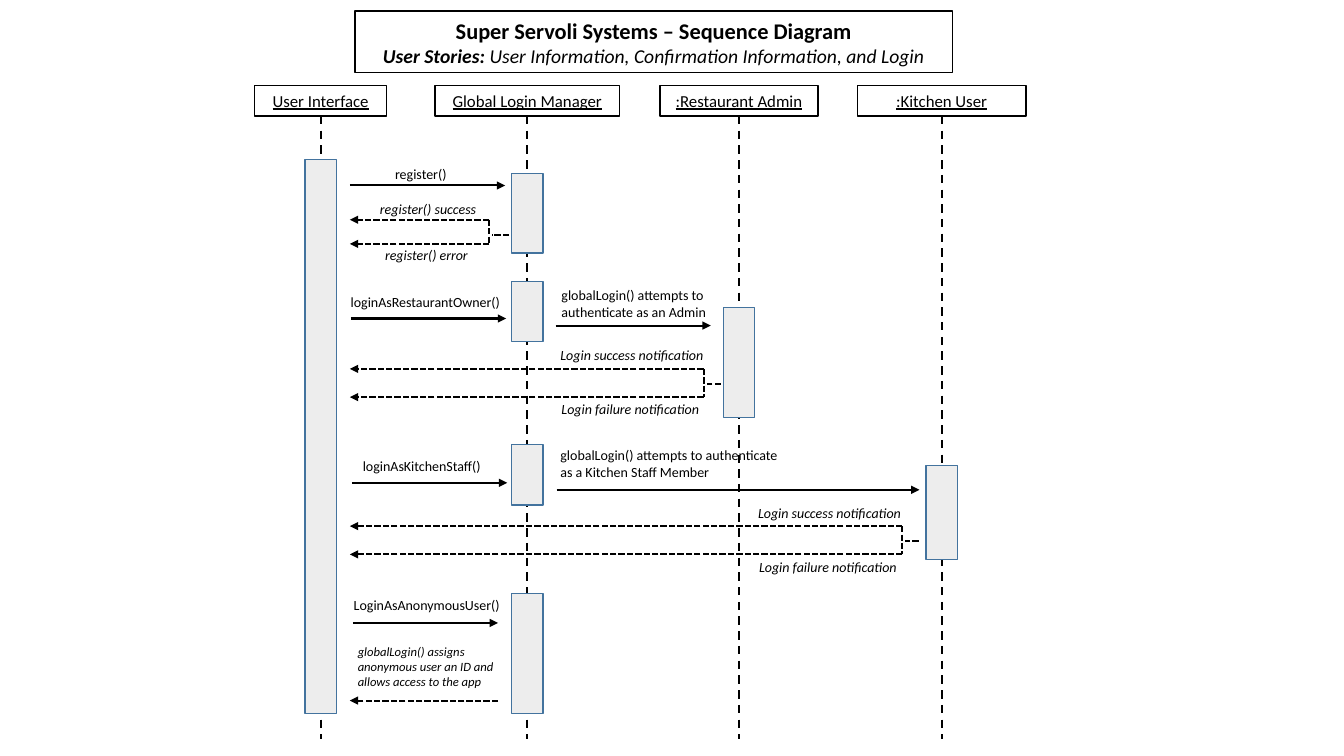
from pptx import Presentation
from pptx.dml.color import RGBColor as RGB
from pptx.enum.dml import MSO_LINE as Dash
from pptx.enum.shapes import MSO_CONNECTOR as Conn, MSO_SHAPE as Shape
from pptx.enum.text import MSO_ANCHOR as Anchor, PP_ALIGN as Align
from pptx.oxml.ns import qn
from pptx.util import Inches, Pt
from lxml.etree import SubElement as sub

BLACK = RGB(0x00, 0x00, 0x00)
GRAY = RGB(0xED, 0xED, 0xED)
BLUE = RGB(0x43, 0x73, 0x9E)

# Grid: cells of a tenth of an inch; lifelines stand on these columns
CELL = 0.1
UI, LOGIN, ADMIN, STAFF = 31.8, 52.3, 73.3, 93.4
HEAD, FOOT = 8.5, 73.3
BAR = 3.1
BACK = 34.7  # column where replies end


def grid(*cells):
    return [Inches(n * CELL) for n in cells]


def write(frame, *parts, size=10, bold=False, italic=False, under=False,
          align=Align.LEFT, anchor=Anchor.TOP):
    """Write parts into one paragraph; a part is text or (text, format)."""
    frame.word_wrap = True
    frame.vertical_anchor = anchor
    para = frame.paragraphs[0]
    para.alignment = align
    for part in parts:
        text, form = (part, {}) if isinstance(part, str) else part
        if text == "\n":
            para.add_line_break()
            continue
        run = para.add_run()
        run.text = text
        font = run.font
        font.name = "Calibri"
        font.color.rgb = BLACK
        font.size = Pt(form.get("size", size))
        font.bold = form.get("bold", bold)
        font.italic = form.get("italic", italic)
        font.underline = under


def box(slide, x, y, w, h, fill=None, edge=BLACK):
    rect = slide.shapes.add_shape(Shape.RECTANGLE, *grid(x, y, w, h))
    rect.shadow.inherit = False
    if fill is None:
        rect.fill.background()
    else:
        rect.fill.solid()
        rect.fill.fore_color.rgb = fill
    rect.line.color.rgb = edge
    rect.line.width = Pt(1)
    return rect


def head(slide, name, mid, wide):
    """Participant box with its lifeline."""
    rect = box(slide, mid - wide / 2, HEAD, wide, 3)
    write(rect.text_frame, name, size=12, under=True,
          align=Align.CENTER, anchor=Anchor.MIDDLE)
    line(slide, mid, HEAD + 3, mid, FOOT, dash=Dash.DASH)


def bar(slide, mid, top, tall):
    """Activation bar centred on a lifeline."""
    box(slide, mid - BAR / 2, top, BAR, tall, GRAY, BLUE)


def line(slide, x1, y1, x2, y2, dash=None, arrow=False):
    link = slide.shapes.add_connector(Conn.STRAIGHT, *grid(x1, y1, x2, y2))
    link.line.color.rgb = BLACK
    link.line.width = Pt(1.5)
    if dash:
        link.line.dash_style = dash
    if arrow:
        sub(link.line._get_or_add_ln(), qn("a:tailEnd"), type="triangle")
    sub(link._element.spPr, qn("a:effectLst"))


def call(slide, x1, x2, y):
    line(slide, x1, y, x2, y, arrow=True)


def reply(slide, x, y):
    line(slide, x, y, BACK, y, dash=Dash.SQUARE_DOT, arrow=True)


def fork(slide, stem, split, top, low):
    """Two replies that branch from one stem."""
    reply(slide, split, top)
    reply(slide, split, low)
    line(slide, split, top, split, low, dash=Dash.SQUARE_DOT)
    line(slide, stem, top + 1.5, split + 0.3, top + 1.5, dash=Dash.SQUARE_DOT)


def note(slide, text, x, y, w, h=2.7, **form):
    area = slide.shapes.add_textbox(*grid(x, y, w, h))
    write(area.text_frame, text, **form)


def main():
    deck = Presentation()
    deck.slide_width, deck.slide_height = Inches(13.33), Inches(7.5)
    slide = deck.slides.add_slide(deck.slide_layouts[6])

    # Participants
    for name, mid, wide in (("User Interface", UI, 13.1),
                            ("Global Login Manager", LOGIN, 18.3),
                            (":Restaurant Admin", ADMIN, 15.7),
                            (":Kitchen User", STAFF, 16.7)):
        head(slide, name, mid, wide)

    # Activation bars
    for mid, top, tall in ((UI, 15.8, 55), (LOGIN, 17.2, 7.9),
                           (LOGIN, 27.9, 6), (LOGIN, 44.1, 6),
                           (LOGIN, 58.9, 11.9), (ADMIN, 30.5, 10.9),
                           (STAFF, 46.2, 9.3)):
        bar(slide, mid, top, tall)

    # Calls
    for x1, x2, y in ((34.7, 50.1, 18.4), (34.8, 50.2, 31.6),
                      (55.1, 70.5, 32.3), (34.9, 50.3, 47.9),
                      (55.2, 91.2, 48.6), (35, 49.4, 61.8)):
        call(slide, x1, x2, y)

    # Replies
    for stem, split, top, low in ((50.5, 48.5, 21.8, 24.2),
                                  (71.5, 69.8, 36.6, 39.4),
                                  (91.1, 89.5, 52.2, 55)):
        fork(slide, stem, split, top, low)
    reply(slide, 49.4, 69.5)

    # Call labels
    for text, x, y, w, h in (
            ("register()", 38.2, 15.9, 9.9, 2.7),
            ("loginAsRestaurantOwner()", 33.8, 28.6, 19.2, 2.7),
            ("globalLogin() attempts to authenticate as an Admin",
             54.7, 27.9, 17.5, 4.4),
            ("loginAsKitchenStaff()", 35, 44.9, 19.2, 2.7),
            ("globalLogin() attempts to authenticate as a Kitchen "
             "Staff Member", 54.6, 43.8, 24.1, 4.4),
            ("LoginAsAnonymousUser()", 34.1, 58.7, 16.8, 2.7)):
        note(slide, text, x, y, w, h)

    # Reply labels
    for text, x, y in (("register() success", 36.7, 19.4),
                       ("register() error", 37.2, 24)):
        note(slide, text, x, y, 14.9, italic=True)
    for x, y in ((54.6, 33.9), (74.2, 49.6)):
        note(slide, "Login success notification", x, y, 16.3, italic=True)
        note(slide, "Login failure notification", x + 0.1, y + 5.3, 16.3,
             italic=True)
    note(slide, "globalLogin() assigns anonymous user an ID and allows "
         "access to the app", 34.5, 63.4, 16.8, 5.6, size=9, italic=True)

    # Title
    title = box(slide, 35.2, 1.1, 59.3, 6.1)
    write(title.text_frame,
          ("Super Servoli Systems – Sequence Diagram",
           {"size": 16, "italic": False}),
          "\n", "User Stories: ",
          ("User Information, Confirmation Information, and Login",
           {"bold": False}),
          size=14, bold=True, italic=True,
          align=Align.CENTER, anchor=Anchor.MIDDLE)

    deck.save("out.pptx")


main()
